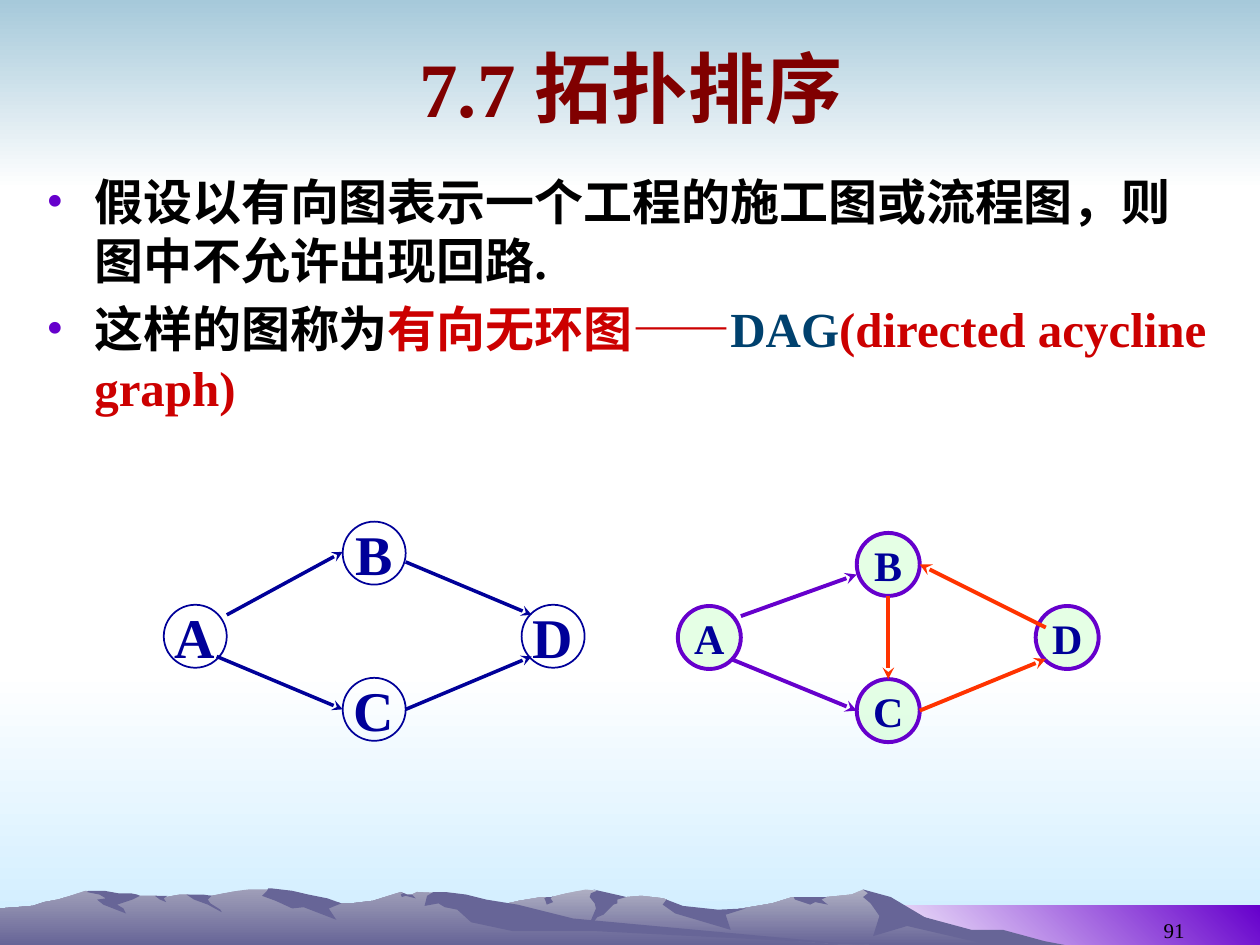
from lxml import etree
from pptx import Presentation
from pptx.dml.color import RGBColor
from pptx.enum.shapes import MSO_CONNECTOR, MSO_SHAPE
from pptx.enum.text import MSO_ANCHOR, PP_ALIGN
from pptx.oxml.ns import qn
from pptx.util import Cm, Pt

LEFT, CENTER, RIGHT = PP_ALIGN.LEFT, PP_ALIGN.CENTER, PP_ALIGN.RIGHT
TOP, MIDDLE, BOTTOM = MSO_ANCHOR.TOP, MSO_ANCHOR.MIDDLE, MSO_ANCHOR.BOTTOM
RECTANGLE, OVAL = MSO_SHAPE.RECTANGLE, MSO_SHAPE.OVAL
STRAIGHT = MSO_CONNECTOR.STRAIGHT

FONT = "Times New Roman"
COLORS = {
    "white": "FFFFFF", "black": "000000", "sky": "A6C9DA", "ice": "CCECFF",
    "violet": "6600CC", "slope": "AEAEC2", "ridge": "9F9EB8", "shade": "676597",
    "maroon": "800000", "red": "CC0000", "teal": "00416E", "navy": "000099",
    "mint": "CCFFCC", "orange": "FF3300",
}

# Mountain outlines, in hundredths of an inch: "x,y x,y ..."
RIGHT_RIDGE = (
    "802,746 778,740 764,738 723,725 702,712 685,706 676,710 656,712 629,712 613,717 "
    "566,725 536,721 529,714 526,713 509,711 486,713 474,707 465,706 450,709 438,712 "
    "430,712 412,715 399,718 355,725 327,731 277,745 258,750 815,750")
LEFT_RIDGE = (
    "690,750 667,750 432,732 354,709 331,708 327,710 323,710 318,708 296,715 279,717 "
    "271,717 260,715 236,717 223,708 215,706 197,706 189,707 178,709 168,711 160,712 "
    "148,710 143,710 132,712 123,711 111,711 94,712 68,707 56,711 46,714 35,716 26,719 "
    "14,720 0,721 0,750")
RIGHT_SHADES = [
    "796,738 771,738 734,728 707,712 685,706 689,709 685,712 691,717 698,727 693,743 "
    "720,735 785,750 845,750 829,747",
    "471,706 474,707 469,709 468,712 472,717 473,721 465,740 474,728 479,726 487,718 "
    "490,717 490,714 497,712 493,711",
    "529,714 526,718 536,725 580,738 576,726 592,721 570,722 542,719",
    "650,712 630,712 631,714 643,718 647,716 657,718 652,714 656,712",
    "433,715 432,713 434,712 438,712 439,711 437,713 439,716 434,718",
]
LEFT_SHADES = [
    "212,707 208,711 219,715 232,721 241,720 267,730 261,721 271,717 260,713 245,710 "
    "232,707 215,705 213,705",
    "370,710 354,708 344,708 339,711 337,719 348,717 353,720 363,722 374,732 407,739 "
    "472,739 690,750 683,750 455,729 427,722 411,718 386,714",
    "318,710 320,709 318,708 323,710 327,710 330,713 322,711 319,712",
    "154,710 161,710 168,711 165,714 167,717 175,722 176,724 165,718 154,714 148,710",
    "133,711 130,713 132,716 127,714 123,711",
    "109,710 111,711 105,714 93,718 98,721 100,725 82,718 77,714 84,713 79,710 69,708 "
    "70,707 83,707 94,709 104,709",
]


def inches(value):
    return Cm(value * 2.54)


def color(name):
    return RGBColor.from_string(COLORS[name])


class SlideBuilder:
    def __init__(self, slide, font):
        self.slide = slide
        self.font = font

    def paint(self, shape, fill, angle=270):
        """Fill with a colour name, a pair of names (gradient) or nothing."""
        shape.shadow.inherit = False
        if fill is None:
            shape.fill.background()
        elif isinstance(fill, tuple):
            shape.fill.gradient()
            shape.fill.gradient_angle = angle
            for stop, name in zip(shape.fill.gradient_stops, fill):
                stop.color.rgb = color(name)
        else:
            shape.fill.solid()
            shape.fill.fore_color.rgb = color(fill)

    def band(self, left, top, width, height, fill, angle=270):
        shape = self.slide.shapes.add_shape(RECTANGLE, *map(inches, (left, top, width, height)))
        self.paint(shape, fill, angle)
        shape.line.fill.background()

    def outline(self, points, fill):
        start, *rest = [tuple(map(int, point.split(","))) for point in points.split()]
        builder = self.slide.shapes.build_freeform(*start, scale=inches(0.01))
        builder.add_line_segments(rest, close=True)
        shape = builder.convert_to_shape()
        self.paint(shape, fill)
        shape.line.fill.background()

    def add_run(self, paragraph, text, size, name, bold):
        run = paragraph.add_run()
        run.text = text
        run.font.name = self.font
        run.font.size = Pt(size)
        run.font.bold = bold
        run.font.color.rgb = color(name)

    def add_bullet(self, paragraph, name):
        properties = paragraph._p.get_or_add_pPr()
        properties.set("marL", str(inches(0.38)))
        properties.set("indent", str(-inches(0.38)))
        bullet_color = etree.SubElement(properties, qn("a:buClr"))
        etree.SubElement(bullet_color, qn("a:srgbClr"), val=COLORS[name])
        etree.SubElement(properties, qn("a:buFont"), typeface=self.font)
        etree.SubElement(properties, qn("a:buChar"), char="•")

    def text(self, box, paragraphs, size, align=LEFT, anchor=TOP, bold=True, bullet=None):
        """Each paragraph is a list of (text, colour name) runs."""
        frame = self.slide.shapes.add_textbox(*map(inches, box)).text_frame
        frame.word_wrap = True
        frame.vertical_anchor = anchor
        for index, runs in enumerate(paragraphs):
            paragraph = frame.add_paragraph() if index else frame.paragraphs[0]
            paragraph.alignment = align
            if bullet:
                paragraph.space_before = Pt(size * 0.2)
                self.add_bullet(paragraph, bullet)
            for content, name in runs:
                self.add_run(paragraph, content, size, name, bold)

    def node(self, label, left, top, size, line, weight, fill):
        shape = self.slide.shapes.add_shape(OVAL, *map(inches, (left, top, 0.5, 0.5)))
        self.paint(shape, fill)
        if fill:
            fill_color = shape._element.spPr.find(qn("a:solidFill"))[0]
            etree.SubElement(fill_color, qn("a:alpha"), val="50000")
        shape.line.color.rgb = color(line)
        shape.line.width = Pt(weight)
        frame = shape.text_frame
        frame.word_wrap = False
        frame.vertical_anchor = MIDDLE
        frame.paragraphs[0].alignment = CENTER
        self.add_run(frame.paragraphs[0], label, size, "navy", True)

    def arrow(self, start, end, name, weight):
        connector = self.slide.shapes.add_connector(STRAIGHT, *map(inches, start + end))
        connector.line.color.rgb = color(name)
        connector.line.width = Pt(weight)
        etree.SubElement(connector.line._get_or_add_ln(), qn("a:tailEnd"), type="stealth")
        etree.SubElement(connector._element.spPr, qn("a:effectLst"))

    def graph(self, left, top, rise, size, line, weight, fill, arrow_weight, edges):
        """A diamond of four nodes; left and top place node A."""
        nodes = {"B": (1.42, -rise), "D": (2.84, 0), "A": (0, 0), "C": (1.42, 0.58)}
        for label, (across, down) in nodes.items():
            self.node(label, left + across, top + down, size, line, weight, fill)
        for start, end, name in edges:
            self.arrow(start, end, name, arrow_weight)


def main():
    presentation = Presentation()
    presentation.slide_width, presentation.slide_height = inches(10), inches(7.5)
    slide = presentation.slides.add_slide(presentation.slide_layouts[6])
    builder = SlideBuilder(slide, FONT)

    # Background bands
    builder.band(0, 5.33, 10, 2.17, ("white", "ice"))
    builder.band(0, 0, 10, 1.5, ("sky", "white"))
    builder.band(6.83, 7.19, 3.17, 0.31, ("white", "violet"), angle=45)

    # Mountains
    for ridge, light, shades in ((RIGHT_RIDGE, "slope", RIGHT_SHADES),
                                 (LEFT_RIDGE, "ridge", LEFT_SHADES)):
        builder.outline(ridge, (light, "shade"))
        for shade in shades:
            builder.outline(shade, "shade")

    # Page number, title and body
    builder.text((7.17, 7.03, 2.33, 0.5), [[("91", "black")]], 12, RIGHT, BOTTOM, bold=False)
    builder.text((0.51, 0.13, 9, 1.12), [[("7.7 拓扑排序", "maroon")]], 44, CENTER, MIDDLE)
    builder.text((0.27, 1.31, 9.45, 5.67), [
        [("假设以有向图表示一个工程的施工图或流程图，则图中不允许出现回路.", "black")],
        [("这样的图称为", "black"), ("有向无环图——", "red"), ("DAG", "teal"),
         ("(directed acycline graph)", "red")],
    ], 28, bullet="violet")

    # Graph without a cycle
    builder.graph(1.3, 4.8, 0.66, 32, "navy", 1, None, 2, [
        ((1.8, 4.88), (2.72, 4.38), "navy"),
        ((1.72, 5.21), (2.72, 5.63), "navy"),
        ((3.22, 4.46), (4.22, 4.88), "navy"),
        ((3.22, 5.63), (4.22, 5.21), "navy"),
    ])

    # Graph with a cycle, marked in orange
    builder.graph(5.38, 4.81, 0.58, 24, "violet", 2.25, "mint", 2.25, [
        ((5.88, 4.89), (6.8, 4.56), "violet"),
        ((5.8, 5.23), (6.8, 5.64), "violet"),
        ((7.3, 5.64), (8.3, 5.23), "orange"),
        ((8.3, 4.98), (7.3, 4.48), "orange"),
        ((7.05, 4.73), (7.05, 5.39), "orange"),
    ])

    presentation.save("out.pptx")


if __name__ == "__main__":
    main()
